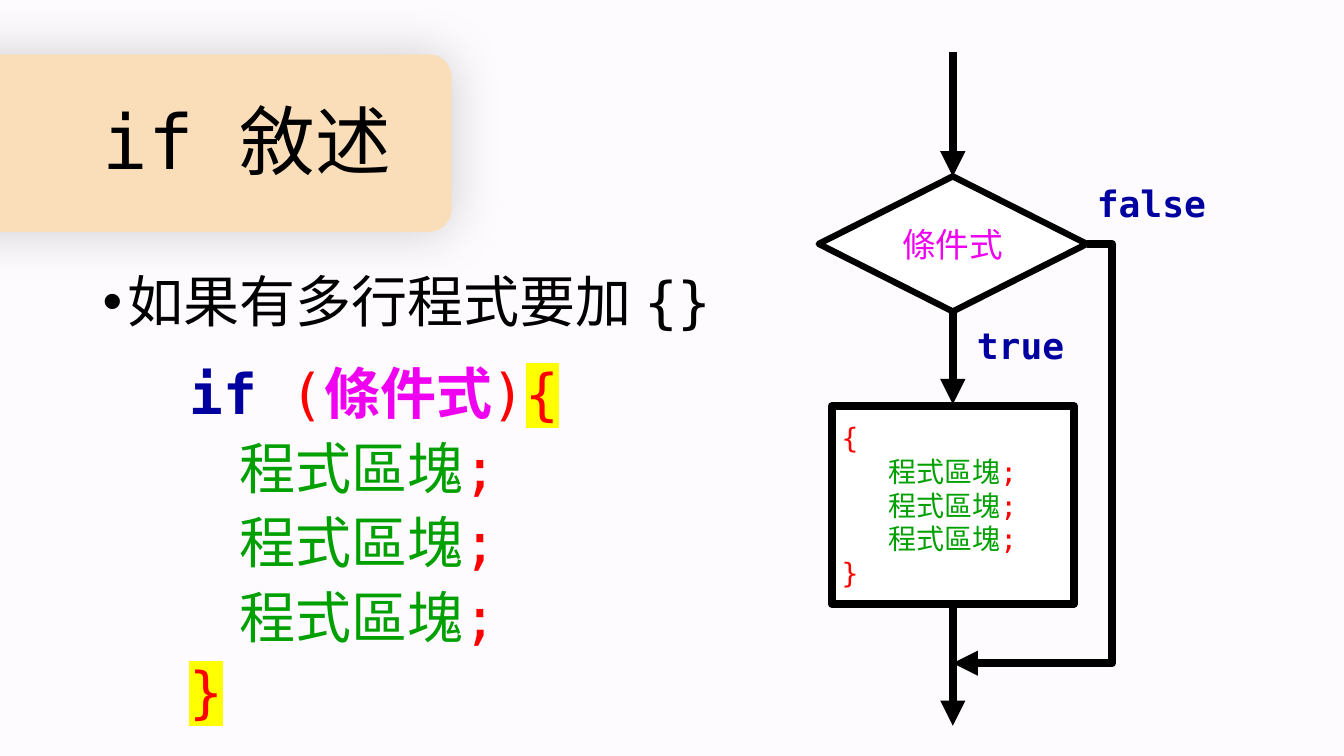
from dataclasses import dataclass

from lxml.etree import SubElement
from pptx import Presentation
from pptx.dml.color import RGBColor
from pptx.enum.shapes import MSO_CONNECTOR as Line, MSO_SHAPE as Preset
from pptx.enum.text import MSO_ANCHOR as Anchor, MSO_AUTO_SIZE as AutoSize, PP_ALIGN as Align
from pptx.oxml.ns import qn
from pptx.util import Inches, Pt


@dataclass(frozen=True)
class Theme:
    font: str = "DejaVu Sans Mono"
    page: str = "FEFBFF"
    panel: str = "F9DEB9"
    ink: str = "000000"
    paper: str = "FFFFFF"
    keyword: str = "0000A1"
    symbol: str = "FF0000"
    condition: str = "F000F0"
    block: str = "00A000"
    marker: str = "FFFF00"
    title_size: float = 54
    body_size: float = 40
    label_size: float = 25.9
    condition_size: float = 24
    block_size: float = 20
    line: float = 6
    thin_line: float = 4.5


THEME = Theme()


@dataclass(frozen=True)
class Token:
    text: str
    color: str = THEME.ink
    bold: bool = False
    marked: bool = False


def colour(value):
    return RGBColor.from_string(value)


def child(parent, tag, **attributes):
    return SubElement(parent, qn(tag), attributes)


def add_token(para, token, size):
    span = para.add_run()
    span.text = token.text
    font = span.font
    font.name, font.size, font.bold = THEME.font, Pt(size), token.bold
    font.color.rgb = colour(token.color)
    if token.marked:
        highlight = child(font._element, "a:highlight")
        child(highlight, "a:srgbClr", val=THEME.marker)
        font._element.find(qn("a:solidFill")).addnext(highlight)


def write_lines(box, lines, size, anchor=Anchor.MIDDLE, spacing=None, gap=0, align=Align.LEFT):
    """Fill a box with one paragraph for each list of tokens."""
    frame = box.text_frame
    frame.word_wrap = True
    frame.auto_size = AutoSize.NONE
    frame.vertical_anchor = anchor
    for index, tokens in enumerate(lines):
        para = frame.add_paragraph() if index else frame.paragraphs[0]
        para.alignment = align
        para.space_before = Pt(gap if index else 0)
        if spacing:
            para.line_spacing = spacing
        for token in tokens:
            add_token(para, token, size)
    return frame.paragraphs


def add_text(page, place, lines, size, **layout):
    box = page.shapes.add_textbox(*map(Inches, place))
    return write_lines(box, lines, size, **layout)


def add_bullet(para, indent):
    props = para._p.get_or_add_pPr()
    props.set("marL", str(Inches(indent)))
    props.set("indent", str(-Inches(indent)))
    child(props, "a:buFont", typeface="Arial")
    child(props, "a:buChar", char="•")


def add_shape(page, preset, place, fill, line_width=0):
    shape = page.shapes.add_shape(preset, *map(Inches, place))
    shape.shadow.inherit = False
    shape.fill.solid()
    shape.fill.fore_color.rgb = colour(fill)
    if line_width:
        shape.line.color.rgb = colour(THEME.ink)
        shape.line.width = Pt(line_width)
    else:
        shape.line.fill.background()
    return shape


def add_arrow(page, start, end, kind=Line.STRAIGHT):
    arrow = page.shapes.add_connector(kind, *map(Inches, start + end))
    arrow.line.color.rgb = colour(THEME.ink)
    arrow.line.width = Pt(THEME.line)
    child(arrow.line._get_or_add_ln(), "a:tailEnd", type="triangle")
    child(arrow._element.spPr, "a:effectLst")
    return arrow


def add_title(page):
    title = page.shapes.title
    title.left, title.top, title.width, title.height = map(Inches, (0.92, 0.71, 11.5, 1.45))
    write_lines(title, [[Token("if 敘述")]], THEME.title_size, spacing=0.9)

    panel = add_shape(page, Preset.ROUNDED_RECTANGLE, (-1.57, 0.54, 6.05, 1.76), THEME.panel)
    panel.adjustments[0] = 0.128
    effects = panel._element.spPr.find(qn("a:effectLst"))
    shadow = child(effects, "a:outerShdw", blurRad=str(Pt(38)), dist="0", dir="0",
                   algn="ctr", rotWithShape="0")
    tint = child(shadow, "a:srgbClr", val=THEME.ink)
    child(tint, "a:alpha", val="19000")
    title._element.addprevious(panel._element)


def add_code(page):
    bullet = add_text(page, (0.92, 2.67, 11.5, 0.8), [[Token("如果有多行程式要加 {}")]],
                      THEME.body_size, anchor=Anchor.TOP, spacing=0.9)[0]
    add_bullet(bullet, 0.25)

    header = [
        Token("if ", THEME.keyword, bold=True),
        Token("(", THEME.symbol),
        Token("條件式", THEME.condition, bold=True),
        Token(")", THEME.symbol),
        Token("{", THEME.symbol, marked=True),
    ]
    statement = [Token("    程式區塊", THEME.block), Token(";", THEME.symbol)]
    footer = [Token("}", THEME.symbol, marked=True)]
    add_text(page, (1.78, 3.33, 5.27, 4.17), [header, *[statement] * 3, footer],
             THEME.body_size, spacing=0.9, gap=10)


def add_flowchart(page):
    axis, right, middle = 9.45, 10.78, 2.42
    decision = add_shape(page, Preset.FLOWCHART_DECISION, (8.12, 1.75, 2.66, 1.34),
                         THEME.paper, THEME.thin_line)
    write_lines(decision, [[Token("條件式", THEME.condition)]], THEME.condition_size,
                align=Align.CENTER)

    process = add_shape(page, Preset.FLOWCHART_PROCESS, (8.25, 4.03, 2.4, 1.96),
                        THEME.paper, THEME.line)
    statement = [Token("程式區塊", THEME.block), Token(";", THEME.symbol)]
    lines = [[Token("{", THEME.symbol)], *[statement] * 3, [Token("}", THEME.symbol)]]
    paras = write_lines(process, lines, THEME.block_size)
    for para in paras[1:-1]:
        para.alignment = Align.CENTER

    for top, bottom in ((0.52, 1.75), (3.09, 4.01), (5.97, 7.2)):
        add_arrow(page, (axis, top), (axis, bottom))
    bypass = add_arrow(page, (right, middle), (axis, 6.58), Line.ELBOW)
    bend = bypass._element.spPr.find(qn("a:prstGeom")).find(qn("a:avLst"))
    child(bend, "a:gd", name="adj1", fmla="val -18800")

    for text, place in (("true", (9.59, 3.23, 1.19, 0.47)), ("false", (right, 1.82, 1.33, 0.47))):
        add_text(page, place, [[Token(text, THEME.keyword, bold=True)]],
                 THEME.label_size, spacing=0.8)


def main():
    deck = Presentation()
    deck.slide_width, deck.slide_height = Inches(13.33), Inches(7.5)
    page = deck.slides.add_slide(deck.slide_layouts.get_by_name("Title Only"))
    page.background.fill.solid()
    page.background.fill.fore_color.rgb = colour(THEME.page)
    add_title(page)
    add_code(page)
    add_flowchart(page)
    deck.save("out.pptx")


if __name__ == "__main__":
    main()
